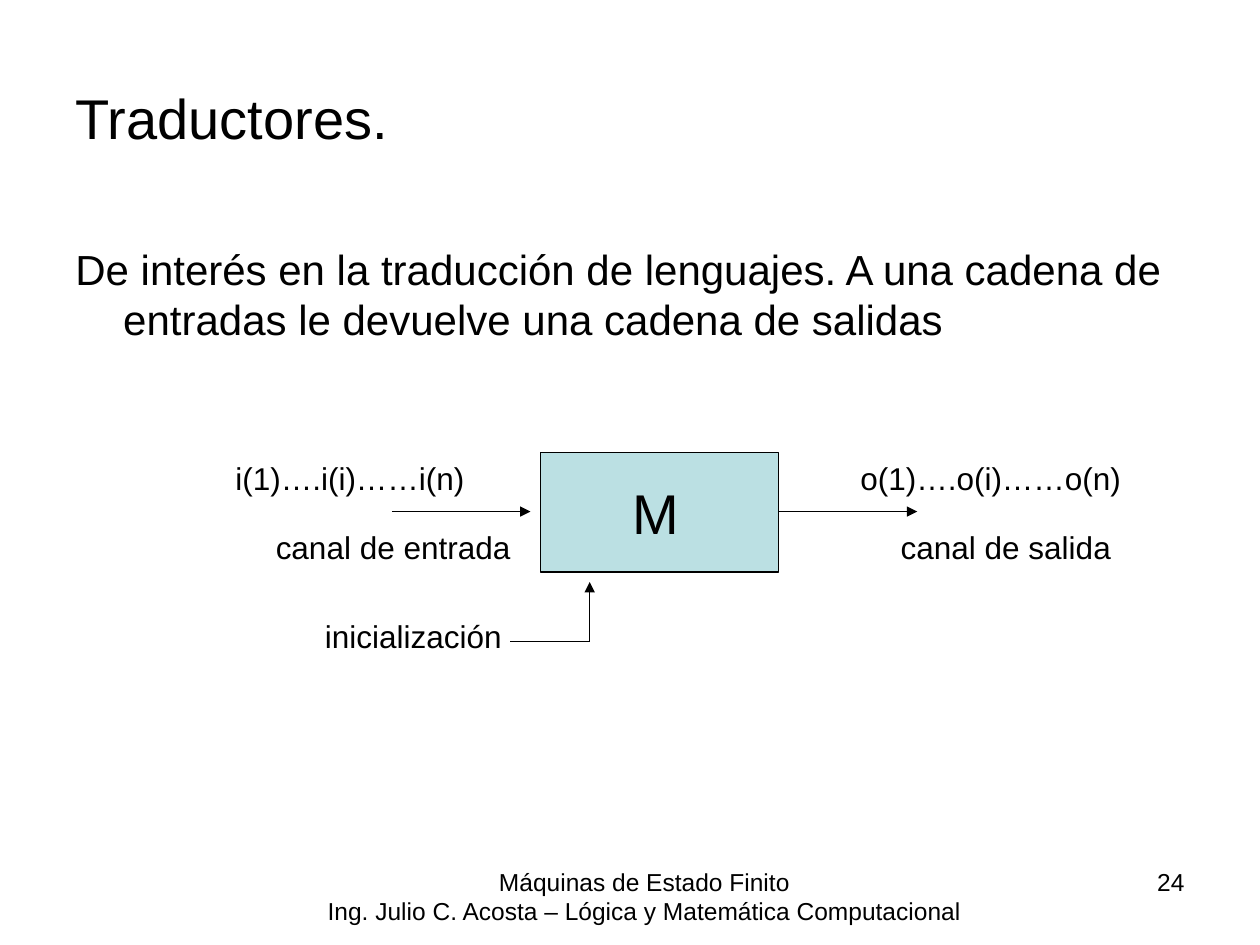
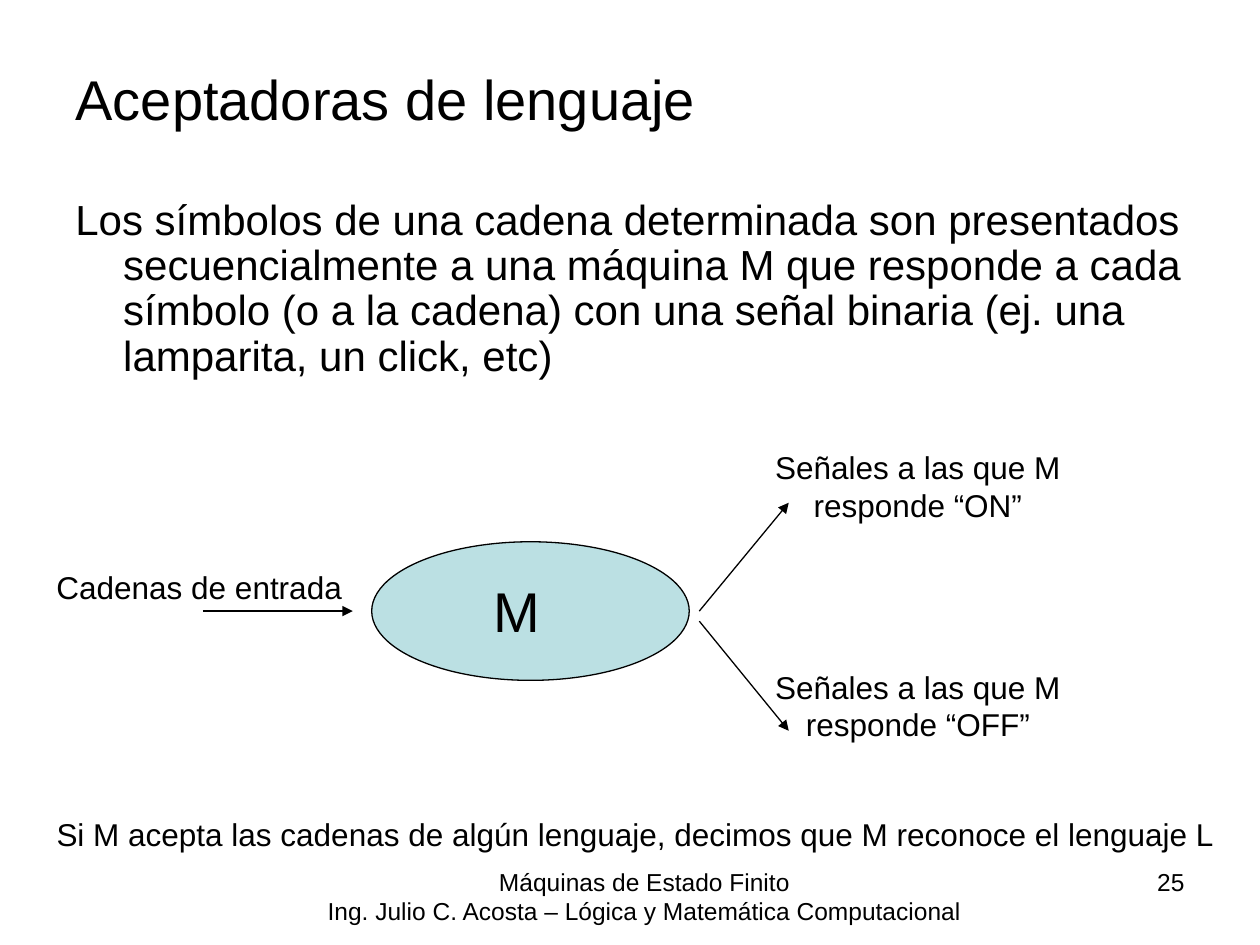
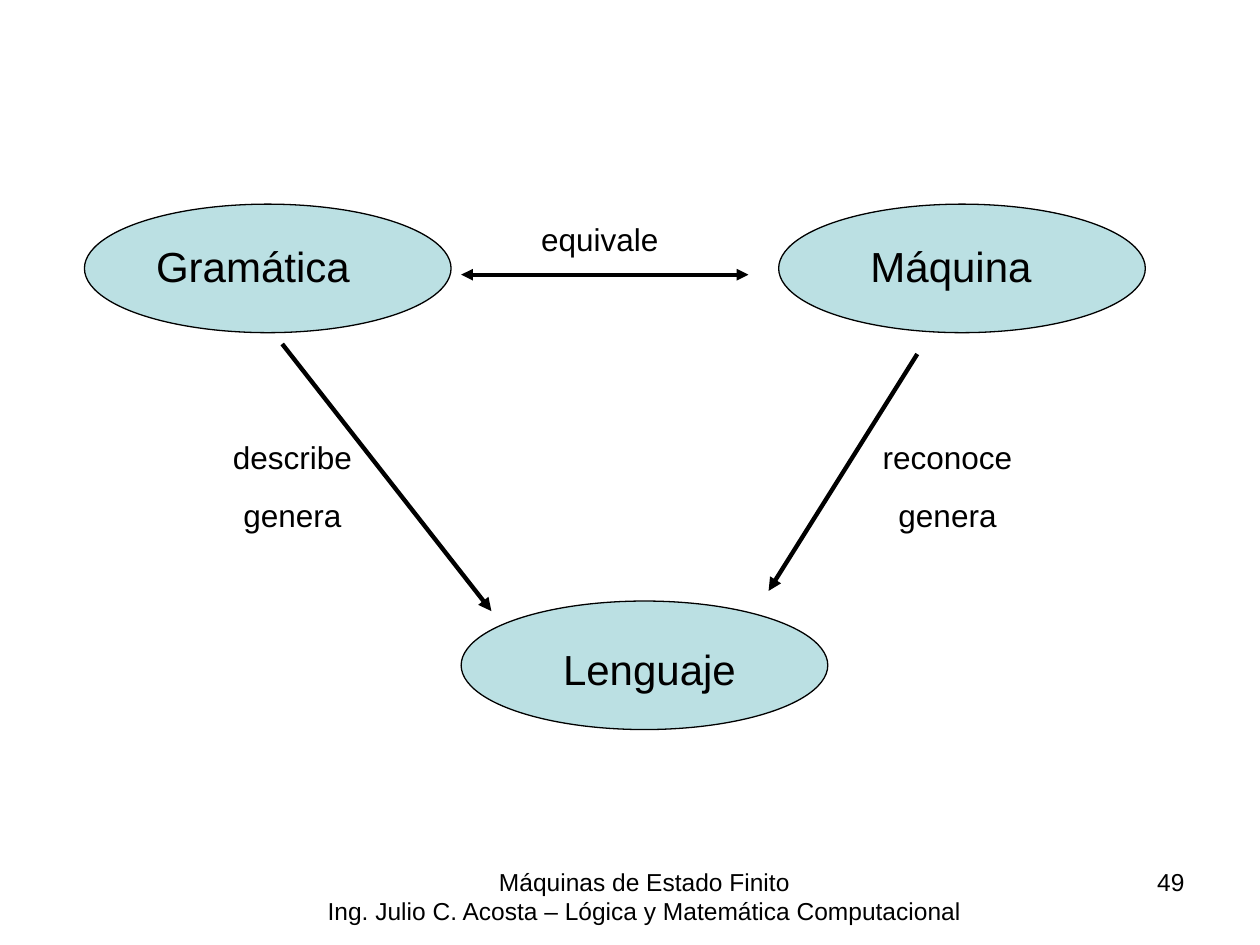
from dataclasses import dataclass

from lxml.etree import SubElement
from pptx import Presentation
from pptx.dml.color import RGBColor
from pptx.enum.shapes import MSO_CONNECTOR, MSO_SHAPE
from pptx.enum.text import MSO_ANCHOR, MSO_AUTO_SIZE, PP_ALIGN
from pptx.oxml.ns import qn
from pptx.util import Inches, Pt


@dataclass(frozen=True)
class Theme:
    font: str = "Arial"
    ink: RGBColor = RGBColor(0x00, 0x00, 0x00)
    fill: RGBColor = RGBColor(0xBB, 0xE0, 0xE3)
    title: int = 32
    body: int = 24
    label: int = 18
    footer: int = 14
    thin: float = 0.75
    medium: float = 2.25
    thick: float = 2.5


theme = Theme()
presentation = Presentation()
presentation.slide_width = Inches(10)
presentation.slide_height = Inches(7.5)

# The slide is a grid of 100 columns by 75 rows
column = presentation.slide_width // 100
row = presentation.slide_height // 75
title_only, blank = presentation.slide_layouts[5], presentation.slide_layouts[6]


def write_text(shape, place, lines, size, align=PP_ALIGN.LEFT, space=0.0, spacing=1.0):
    """Place a text shape on the grid and fill it, one paragraph per line."""
    left, top, width, height = place
    shape.left, shape.top = int(left * column), int(top * row)
    shape.width, shape.height = int(width * column), int(height * row)
    frame = shape.text_frame
    frame.word_wrap = True
    frame.auto_size = MSO_AUTO_SIZE.NONE
    frame.vertical_anchor = MSO_ANCHOR.TOP
    for index, line in enumerate(lines):
        paragraph = frame.add_paragraph() if index else frame.paragraphs[0]
        paragraph.alignment = align
        paragraph.line_spacing = spacing
        paragraph.space_before = Pt(space if index else 0)
        run = paragraph.add_run()
        run.text = line
        run.font.name = theme.font
        run.font.size = Pt(size)
        run.font.color.rgb = theme.ink
    return frame


def add_line(slide, start, end, weight=theme.thin, arrows=("tailEnd",)):
    """Draw a straight line between two grid points."""
    line = slide.shapes.add_connector(
        MSO_CONNECTOR.STRAIGHT,
        int(start[0] * column), int(start[1] * row),
        int(end[0] * column), int(end[1] * row))
    line.line.color.rgb = theme.ink
    line.line.width = Pt(weight)
    for arrow in arrows:
        SubElement(line.line._get_or_add_ln(), qn(f"a:{arrow}"), type="triangle")
    SubElement(line._element.spPr, qn("a:effectLst"))


# Slides with a title and an introduction
translators, acceptors = [presentation.slides.add_slide(title_only) for _ in range(2)]
relations = presentation.slides.add_slide(blank)
introductions = [
    (translators, "Traductores.", 6.1, 18.8, 1.0,
     "De interés en la traducción de lenguajes. A una cadena de entradas "
     "le devuelve una cadena de salidas"),
    (acceptors, "Aceptadoras de lenguaje", 5.2, 15.3, 0.9,
     "Los símbolos de una cadena determinada son presentados secuencialmente "
     "a una máquina M que responde a cada símbolo (o a la cadena) con una señal "
     "binaria (ej. una lamparita, un click, etc)"),
]
for slide, title, title_top, body_top, spacing, body in introductions:
    write_text(slide.shapes.title, (5, title_top, 90, 7), [title], theme.title, spacing=spacing)
    body_box = slide.shapes.add_textbox(0, 0, 0, 0)
    frame = write_text(body_box, (5, body_top, 90, 16), [body], theme.body, spacing=spacing)
    properties = frame.paragraphs[0]._p.get_or_add_pPr()
    properties.set("marL", str(Inches(0.38)))
    properties.set("indent", str(-Inches(0.38)))

# Machines and concepts
node_size = (29.1, 10.2)
nodes = [
    (translators, MSO_SHAPE.RECTANGLE, 42.9, 35.9, 18.9, 9.5),
    (acceptors, MSO_SHAPE.OVAL, 29.5, 43, 25.2, 11),
    (relations, MSO_SHAPE.OVAL, 6.7, 16.2, *node_size),
    (relations, MSO_SHAPE.OVAL, 61.8, 16.2, *node_size),
    (relations, MSO_SHAPE.OVAL, 36.6, 47.7, *node_size),
]
for slide, kind, left, top, width, height in nodes:
    node = slide.shapes.add_shape(
        kind, int(left * column), int(top * row), int(width * column), int(height * row))
    node.shadow.inherit = False
    node.fill.solid()
    node.fill.fore_color.rgb = theme.fill
    node.line.color.rgb = theme.ink
    node.line.width = Pt(theme.thin)

# Channels of the translator
for start in (31.1, 61.8):
    add_line(translators, (start, 40.6), (start + 11, 40.6))
add_line(translators, (46.8, 50.9), (46.8, 46.2))
add_line(translators, (46.8, 50.9), (40.5, 50.9), arrows=())

# Input and answers of the acceptor
add_line(acceptors, (16.1, 48.5), (28, 48.5))
add_line(acceptors, (55.5, 48.5), (62.6, 39.9))
add_line(acceptors, (55.5, 49.3), (62.6, 58))

# Relations between grammar, machine and language
add_line(relations, (36.6, 21.8), (59.4, 21.8), theme.medium, ("headEnd", "tailEnd"))
add_line(relations, (22.4, 27.3), (39, 48.5), theme.thick)
add_line(relations, (72.8, 28.1), (61, 46.9), theme.thick)

# Labels: slide, place, lines, size, alignment
left, center = PP_ALIGN.LEFT, PP_ALIGN.CENTER
labels = [
    (translators, (49.2, 37.5, 15.8, 6.4), ["M"], theme.title, left),
    (translators, (17.7, 35.9, 27.6, 4), ["i(1)….i(i)……i(n)"], theme.label, left),
    (translators, (67.3, 35.9, 27.6, 4), ["o(1)….o(i)……o(n)"], theme.label, left),
    (translators, (20.9, 41.4, 22.8, 4), ["canal de entrada"], theme.label, left),
    (translators, (70.5, 41.4, 22.8, 4), ["canal de salida"], theme.label, left),
    (translators, (24.8, 48.5, 22.8, 4), ["inicialización"], theme.label, left),
    (acceptors, (38.2, 45.3, 7.9, 6.4), ["M"], theme.title, left),
    (acceptors, (3.5, 44.6, 27.6, 4), ["Cadenas de entrada"], theme.label, left),
    (acceptors, (57.1, 35.1, 31.5, 7), ["Señales a las que M responde “ON”"], theme.label, center),
    (acceptors, (57.1, 52.5, 31.5, 7), ["Señales a las que M responde “OFF”"], theme.label, center),
    (acceptors, (3.5, 64.2, 94.5, 4),
     ["Si M acepta las cadenas de algún lenguaje, decimos que M reconoce el lenguaje L"],
     theme.label, left),
    (relations, (11.4, 18.6, 18.9, 5), ["Gramática"], theme.body, left),
    (relations, (68.1, 18.6, 16.5, 5), ["Máquina"], theme.body, left),
    (relations, (43.7, 50.6, 16.5, 5), ["Lenguaje"], theme.body, left),
    (relations, (36.6, 17, 22, 4), ["equivale"], theme.label, center),
    (relations, (10.6, 34.3, 25.2, 8.6), ["describe", "genera"], theme.label, center),
    (relations, (57.9, 34.3, 34.6, 8.6), ["reconoce", "genera"], theme.label, center),
]
for slide, place, lines, size, align in labels:
    label_box = slide.shapes.add_textbox(0, 0, 0, 0)
    write_text(label_box, place, lines, size, align, space=11.2)

# Footer and page number on every slide
footer = ["Máquinas de Estado Finito", "Ing. Julio C. Acosta – Lógica y Matemática Computacional"]
for slide, number in zip(presentation.slides, ("24", "25", "49")):
    footer_box = slide.shapes.add_textbox(0, 0, 0, 0)
    write_text(footer_box, (21.6, 68.3, 59.1, 5.2), footer, theme.footer, center)
    number_box = slide.shapes.add_textbox(0, 0, 0, 0)
    write_text(number_box, (71.7, 68.3, 23.3, 5.2), [number], theme.footer, PP_ALIGN.RIGHT)

presentation.save("out.pptx")
